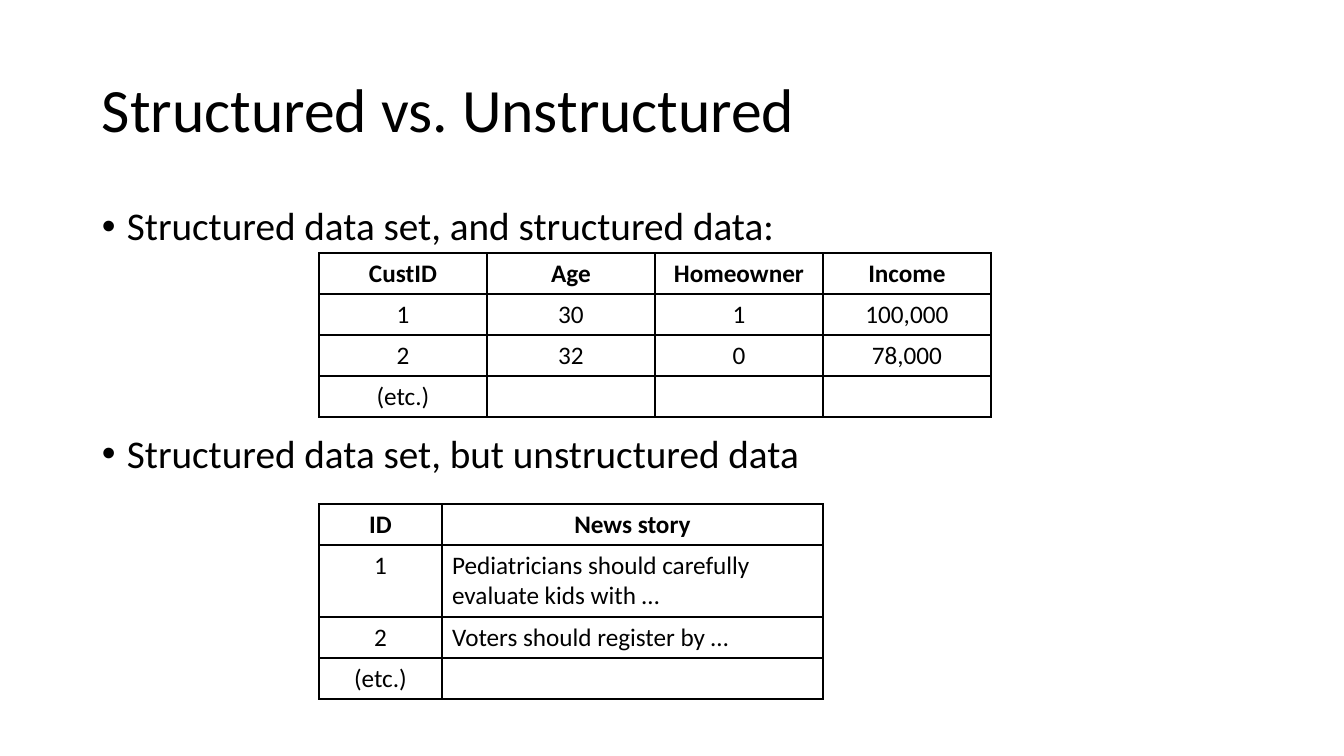
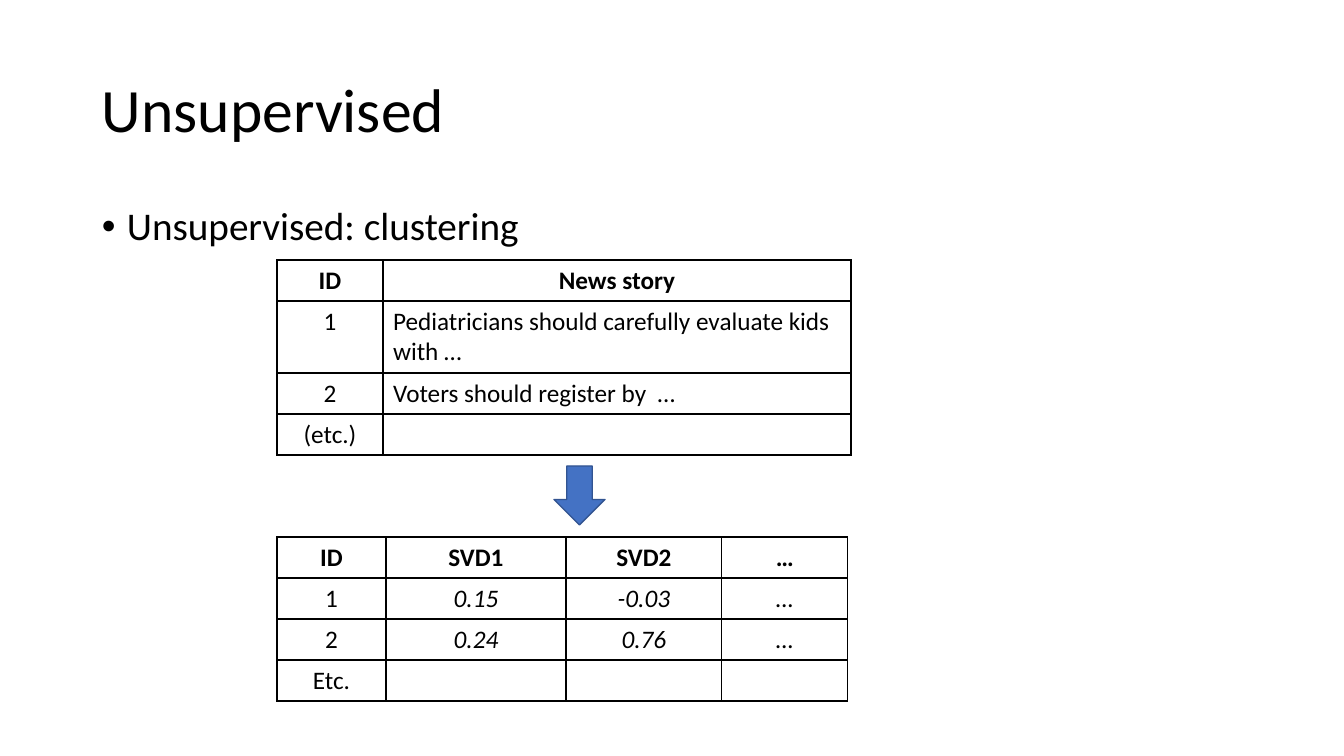
"""Build two slides on structured data and unsupervised learning."""
from lxml import etree
from pptx import Presentation
from pptx.dml.color import RGBColor
from pptx.enum.shapes import MSO_SHAPE
from pptx.enum.text import MSO_ANCHOR, PP_ALIGN
from pptx.oxml.ns import qn
from pptx.util import Pt

LEFT, CENTER = PP_ALIGN.LEFT, PP_ALIGN.CENTER
TOP, MIDDLE = MSO_ANCHOR.TOP, MSO_ANCHOR.MIDDLE
DOWN_ARROW = MSO_SHAPE.DOWN_ARROW

BLACK = RGBColor(0x00, 0x00, 0x00)
BLUE = RGBColor(0x44, 0x72, 0xC4)
DARK_BLUE = RGBColor(0x32, 0x54, 0x91)
FONT = "Calibri"

SCALE = 914400 / 100.8
PAGE_SIZE = (1344, 756)
TITLE_AREA = (92, 40, 1159, 146)
BODY_AREA = (92, 202, 1159, 480)
BULLET_INDENT = 25
ROW_HEIGHT, TALL_ROW_HEIGHT = 41, 72

SLIDES = [
    {
        "title": "Structured vs. Unstructured",
        "bullets": [
            ("Structured data set, and structured data:", 10),
            ("Structured data set, but unstructured data", 132),
        ],
        "tables": [
            {
                "at": (319, 253),
                "columns": [168, 168, 168, 168],
                "rows": [
                    ("CustID", "Age", "Homeowner", "Income"),
                    ("1", "30", "1", "100,000"),
                    ("2", "32", "0", "78,000"),
                    ("(etc.)", "", "", ""),
                ],
            },
            {
                "at": (319, 504),
                "columns": [123, 381],
                "rows": [
                    ("ID", "News story"),
                    ("1", "Pediatricians should carefully evaluate kids with …"),
                    ("2", "Voters should register by …"),
                    ("(etc.)", ""),
                ],
                "left_columns": [1],
                "tall_rows": [1],
            },
        ],
        "arrows": [],
    },
    {
        "title": "Unsupervised",
        "bullets": [("Unsupervised: clustering", 10)],
        "tables": [
            {
                "at": (277, 260),
                "columns": [106, 468],
                "rows": [
                    ("ID", "News story"),
                    ("1", "Pediatricians should carefully evaluate kids with …"),
                    ("2", "Voters should register by  …"),
                    ("(etc.)", ""),
                ],
                "left_columns": [1],
                "tall_rows": [1],
            },
            {
                "at": (277, 537),
                "columns": [109, 180, 156, 126],
                "rows": [
                    ("ID", "SVD1", "SVD2", "…"),
                    ("1", "0.15", "-0.03", "…"),
                    ("2", "0.24", "0.76", "…"),
                    ("Etc.", "", "", ""),
                ],
                "italic_columns": [1, 2, 3],
            },
        ],
        "arrows": [(554, 466, 51, 59)],
    },
]


def emu(*pixels):
    return [round(pixel * SCALE) for pixel in pixels]


def write(para, text, size=18, bold=False, italic=False, align=LEFT,
          line_spacing=None, space_before=None, bullet=False):
    para.alignment = align
    if line_spacing:
        para.line_spacing = line_spacing
    if space_before:
        para.space_before = Pt(space_before)
    if bullet:
        indent = emu(BULLET_INDENT)[0]
        properties = para._p.get_or_add_pPr()
        properties.set("marL", str(indent))
        properties.set("indent", str(-indent))
        etree.SubElement(properties, qn("a:buFont")).set("typeface", "Arial")
        etree.SubElement(properties, qn("a:buChar")).set("char", "•")
    span = para.add_run()
    span.text = text
    span.font.name = FONT
    span.font.size = Pt(size)
    span.font.bold = bold
    span.font.italic = italic
    span.font.color.rgb = BLACK


def add_frame(page, area, anchor):
    frame = page.shapes.add_textbox(*emu(*area)).text_frame
    frame.word_wrap = True
    frame.vertical_anchor = anchor
    return frame


def add_bullets(page, bullets):
    frame = add_frame(page, BODY_AREA, TOP)
    for index, (text, space_before) in enumerate(bullets):
        para = frame.add_paragraph() if index else frame.paragraphs[0]
        write(para, text, size=28, line_spacing=0.9,
              space_before=space_before, bullet=True)


def outline_cell(cell):
    properties = cell._tc.get_or_add_tcPr()
    for side in ("a:lnL", "a:lnR", "a:lnT", "a:lnB"):
        line = etree.SubElement(properties, qn(side), w=str(Pt(1)))
        fill = etree.SubElement(line, qn("a:solidFill"))
        etree.SubElement(fill, qn("a:srgbClr"), val=str(BLACK))
    cell.fill.background()


def add_grid(page, content):
    columns, rows = content["columns"], content["rows"]
    tall_rows = content.get("tall_rows", [])
    heights = [TALL_ROW_HEIGHT if index in tall_rows else ROW_HEIGHT
               for index in range(len(rows))]
    area = emu(*content["at"], sum(columns), sum(heights))
    table = page.shapes.add_table(len(rows), len(columns), *area).table
    table.first_row = table.horz_banding = False
    for column, width in zip(table.columns, emu(*columns)):
        column.width = width
    for row, height in zip(table.rows, emu(*heights)):
        row.height = height
    for row_index, texts in enumerate(rows):
        header = row_index == 0
        for column_index, text in enumerate(texts):
            cell = table.cell(row_index, column_index)
            outline_cell(cell)
            if not text:
                continue
            left = not header and column_index in content.get("left_columns", [])
            italic = not header and column_index in content.get("italic_columns", [])
            write(cell.text_frame.paragraphs[0], text, bold=header,
                  italic=italic, align=LEFT if left else CENTER)


def add_arrow(page, area):
    arrow = page.shapes.add_shape(DOWN_ARROW, *emu(*area))
    arrow.shadow.inherit = False
    arrow.fill.solid()
    arrow.fill.fore_color.rgb = BLUE
    arrow.line.color.rgb = DARK_BLUE
    arrow.line.width = Pt(1)


def build():
    deck = Presentation()
    deck.slide_width, deck.slide_height = emu(*PAGE_SIZE)
    for content in SLIDES:
        page = deck.slides.add_slide(deck.slide_layouts[6])
        title = add_frame(page, TITLE_AREA, MIDDLE)
        write(title.paragraphs[0], content["title"], size=44, line_spacing=0.9)
        add_bullets(page, content["bullets"])
        for table in content["tables"]:
            add_grid(page, table)
        for area in content["arrows"]:
            add_arrow(page, area)
    deck.save("out.pptx")


build()
